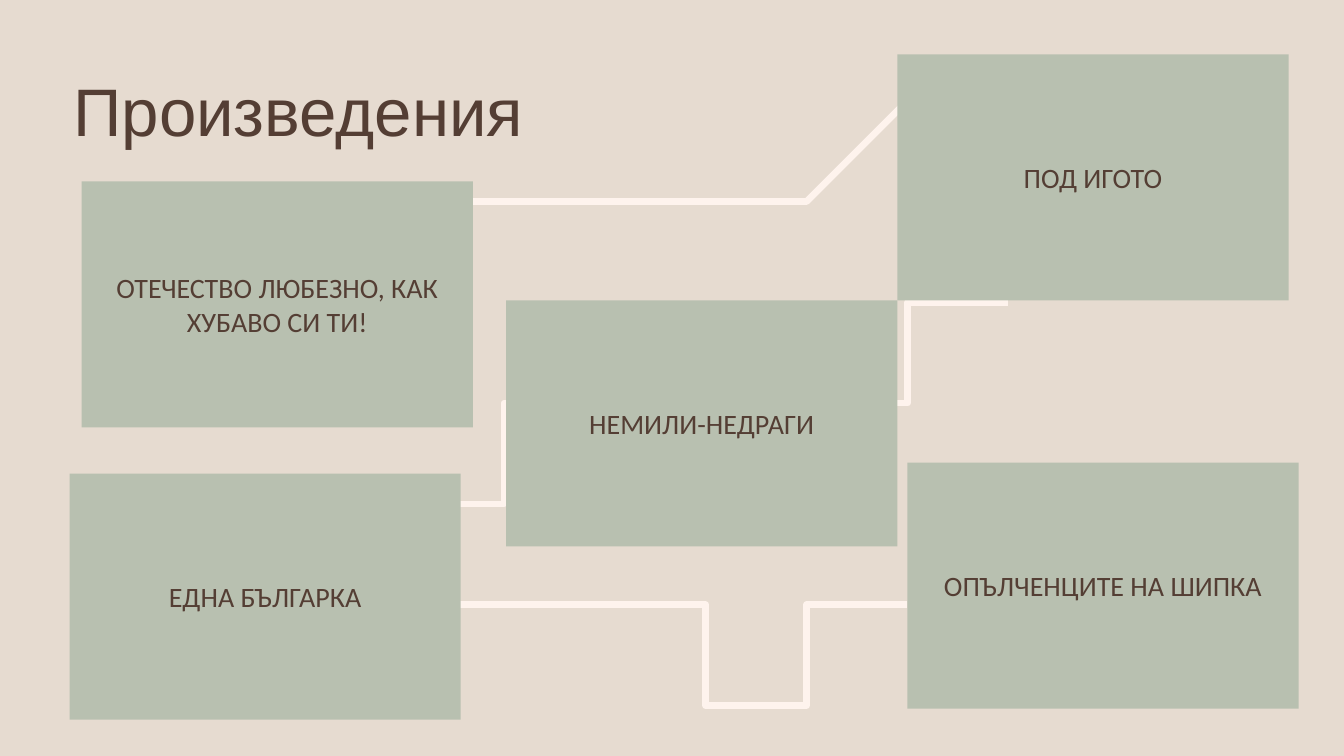
from pptx import Presentation, util as u
from pptx.dml.color import RGBColor
from pptx.enum import shapes, text

# The slide is a grid of one-inch cells
COLUMNS, ROWS = 13.33, 7.5
CELL = u.Inches(1)

SAND = RGBColor(0xE6, 0xDB, 0xD0)
SAGE = RGBColor(0xB8, 0xC0, 0xB0)
CREAM = RGBColor(0xFE, 0xF3, 0xED)
BROWN = RGBColor(0x54, 0x3E, 0x34)

CARD_WIDTH, CARD_HEIGHT = 3.88, 2.44
CURVE_STEPS = 16

# Each card: its text, left column and top row
CARDS = [
    ("ОТЕЧЕСТВО ЛЮБЕЗНО, КАК ХУБАВО СИ ТИ!", 0.81, 1.8),
    ("ПОД ИГОТО", 8.9, 0.54),
    ("НЕМИЛИ-НЕДРАГИ", 5.02, 2.98),
    ("ЕДНА БЪЛГАРКА", 0.69, 4.7),
    ("ОПЪЛЧЕНЦИТЕ НА ШИПКА", 9, 4.59),
]

# Each thread: a start point, then three Bézier points for every segment
THREADS = [
    [(8.33, 3.83), (9.13, 3.63), (9.85, 3.27), (10.47, 2.75)],
    [(5.84, 4.28), (5.09, 4.52), (4.45, 4.9), (3.89, 5.39)],
    [(3.07, 2.23), (3.5, 1.87), (3.98, 1.77), (4.49, 1.9),
     (4.66, 1.94), (4.81, 2.01), (4.97, 2.09),
     (5.3, 2.24), (5.65, 2.35), (6.04, 2.36),
     (6.37, 2.36), (6.7, 2.29), (7.01, 2.17),
     (7.37, 2.03), (7.57, 1.93), (7.78, 1.83),
     (8.01, 1.71), (9.4, 1.03), (10.27, 1.46)],
    [(9.2, 5.79), (9.04, 5.86), (8.91, 5.95), (8.77, 6.05),
     (8.48, 6.25), (8.15, 6.41), (7.78, 6.47),
     (7.46, 6.53), (7.14, 6.51), (6.81, 6.44),
     (6.45, 6.36), (6.24, 6.29), (6.02, 6.22),
     (5.78, 6.15), (4.34, 5.7), (3.47, 6.36)],
]


def to_emu(box):
    return [round(length * CELL) for length in box]


def write(shape, words, font_name, size, alignment):
    frame = shape.text_frame
    frame.word_wrap = True
    frame.vertical_anchor = text.MSO_ANCHOR.MIDDLE
    frame.text = words
    paragraph = frame.paragraphs[0]
    paragraph.alignment = alignment
    font = paragraph.runs[0].font
    font.name, font.size = font_name, u.Pt(size)
    font.color.rgb = BROWN
    return paragraph


def bezier_point(controls, t):
    weights = ((1 - t) ** 3, 3 * t * (1 - t) ** 2, 3 * t * t * (1 - t), t ** 3)
    return tuple(sum(w * value for w, value in zip(weights, axis))
                 for axis in zip(*controls))


def add_thread(slide, box, points):
    left, top = box[:2]
    placed = [(left + x, top + y) for x, y in points]
    vertices = [bezier_point(placed[i:i + 4], step / CURVE_STEPS)
                for i in range(0, len(placed) - 1, 3)
                for step in range(1, CURVE_STEPS + 1)]
    builder = slide.shapes.build_freeform(*placed[0], scale=CELL)
    builder.add_line_segments(vertices, close=False)
    shape = builder.convert_to_shape()
    shape.shadow.inherit = False
    shape.fill.background()
    shape.line.color.rgb = CREAM
    shape.line.width = u.Pt(4.75)


def add_title(slide, box, words):
    shape = slide.shapes.add_textbox(*to_emu(box))
    paragraph = write(shape, words, "Arial", 48, text.PP_ALIGN.LEFT)
    paragraph.line_spacing = 0.9


def add_card(slide, box, words):
    shape = slide.shapes.add_shape(shapes.MSO_SHAPE.RECTANGLE, *to_emu(box))
    shape.shadow.inherit = False
    shape.fill.solid()
    shape.fill.fore_color.rgb = SAGE
    shape.line.fill.background()
    write(shape, words, "Calibri", 20, text.PP_ALIGN.CENTER)


def add_works_slide(presentation):
    slide = presentation.slides.add_slide(presentation.slide_layouts[6])
    slide.background.fill.solid()
    slide.background.fill.fore_color.rgb = SAND
    # Threads run behind the cards
    for points in THREADS:
        add_thread(slide, (0, 0, COLUMNS, ROWS), points)
    # Title and cards
    add_title(slide, (0.63, 0.77, 10, 0.74), "Произведения")
    for words, left, top in CARDS:
        add_card(slide, (left, top, CARD_WIDTH, CARD_HEIGHT), words)


def main():
    presentation = Presentation()
    presentation.slide_width, presentation.slide_height = to_emu((COLUMNS, ROWS))
    add_works_slide(presentation)
    presentation.save("out.pptx")


if __name__ == "__main__":
    main()
